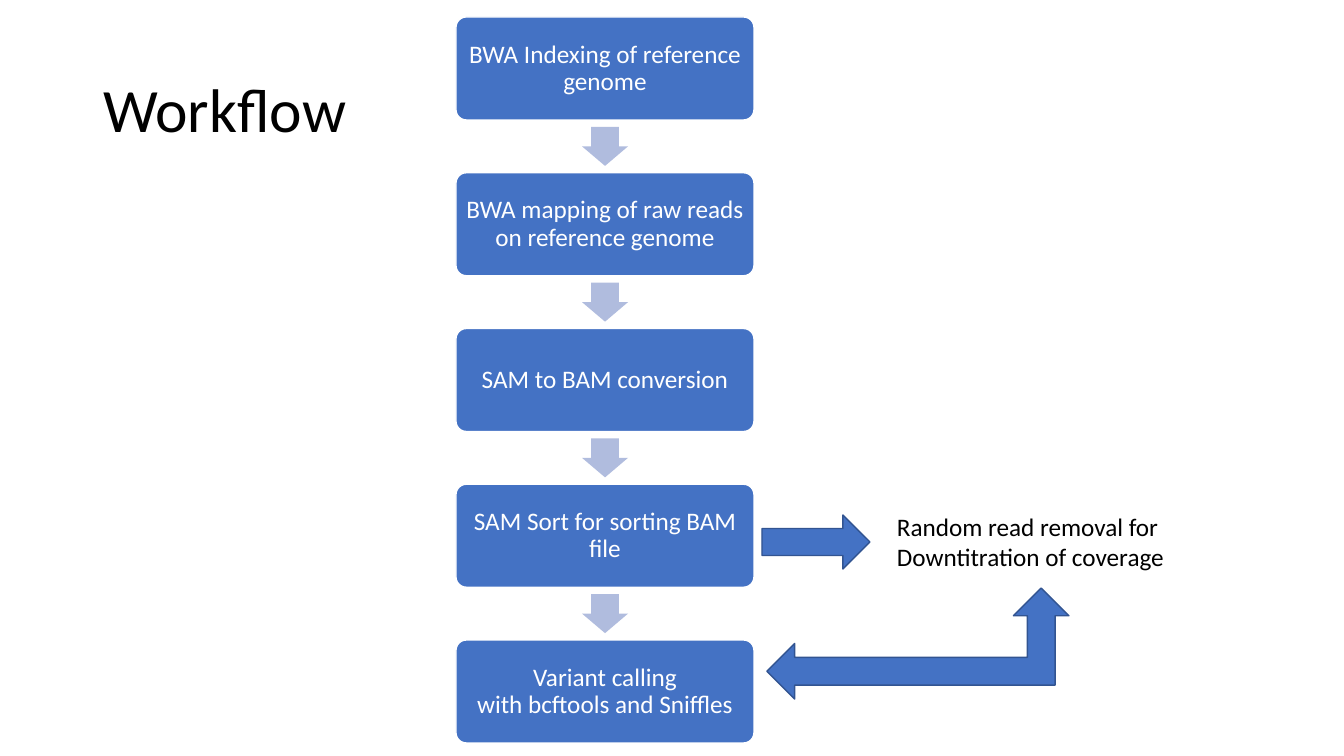
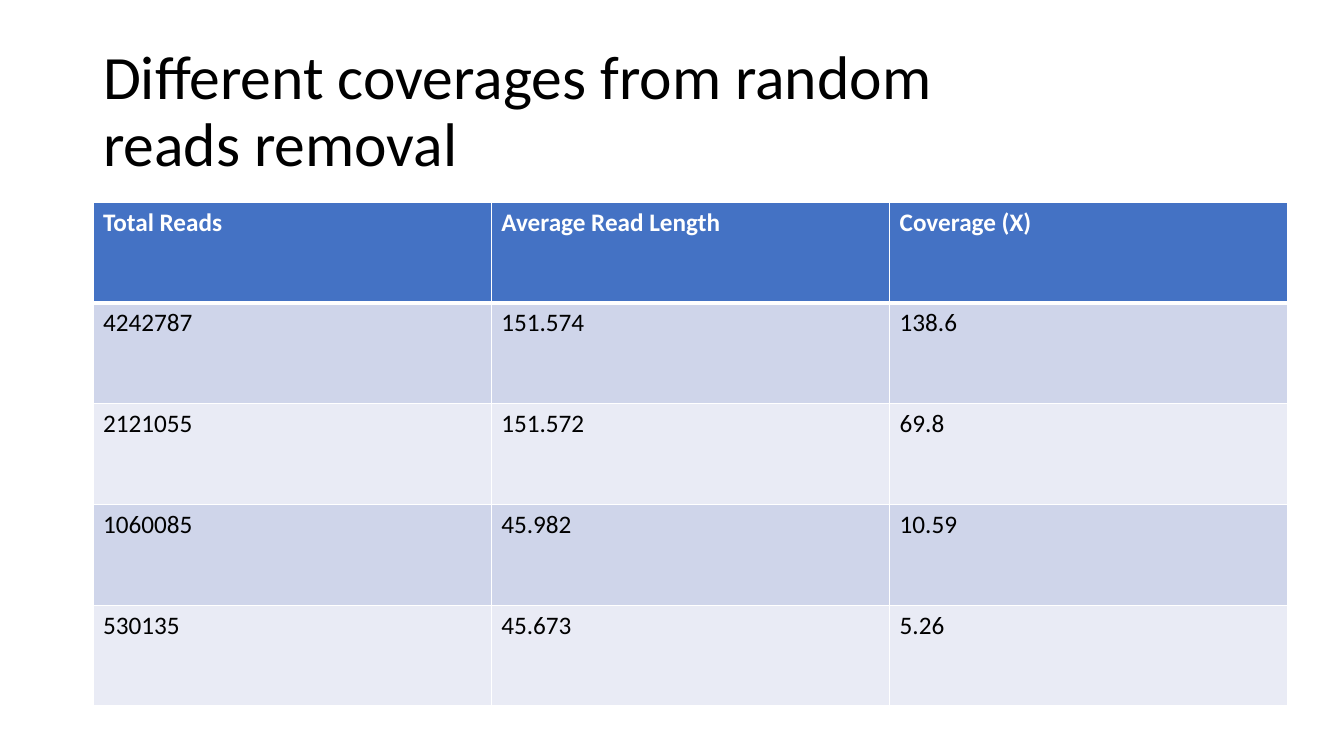
"""Build two slides: a read-mapping workflow and a table of coverages."""
from pptx import Presentation
from pptx.dml.color import RGBColor
from pptx.enum.shapes import MSO_SHAPE
from pptx.enum.text import MSO_ANCHOR, PP_ALIGN
from pptx.oxml import parse_xml
from pptx.oxml.ns import nsdecls
from pptx.util import Pt

LEFT, CENTER = PP_ALIGN.LEFT, PP_ALIGN.CENTER
TOP, MIDDLE = MSO_ANCHOR.TOP, MSO_ANCHOR.MIDDLE
ROUNDED, RIGHT_ARROW = MSO_SHAPE.ROUNDED_RECTANGLE, MSO_SHAPE.RIGHT_ARROW
LEFT_UP_ARROW = MSO_SHAPE.LEFT_UP_ARROW

WORKFLOW_TITLE = "Workflow"
STEPS = [
    "BWA Indexing of reference genome",
    "BWA mapping of raw reads on reference genome",
    "SAM to BAM conversion",
    "SAM Sort for sorting BAM file",
    "Variant calling with\u00a0bcftools and Sniffles",
]
REMOVAL_NOTE = ["Random read removal for", "Downtitration of coverage"]
COVERAGE_TITLE = "Different coverages from random reads\u00a0removal"
COVERAGE_ROWS = [
    ("Total Reads", "Average Read Length", "Coverage (X)"),
    ("4242787", "151.574", "138.6"),
    ("2121055", "151.572", "69.8"),
    ("1060085", "45.982", "10.59"),
    ("530135", "45.673", "5.26"),
]

FONT = "Calibri"
BLACK, WHITE, BLUE, EDGE, PALE = "000000", "FFFFFF", "4472C4", "325491", "B0BCDE"
BANDS = ["E9EBF5", "CFD5EA"]
SLIDE_SIZE = (1344, 756)
TITLE_BOX = (93, 40, 1159, 146)
STEP_LEFT, STEP_WIDTH, STEP_HEIGHT = 456, 298, 103
FIRST_TOP, LAST_TOP = 17, 640
STEP_INSET = 7
DOWN_LENGTH, DOWN_WIDTH = 39, 46
NOTE_BOX = (887, 506, 302, 72)
SIDE_ARROWS = [(LEFT_UP_ARROW, (767, 588, 302, 111)), (RIGHT_ARROW, (762, 515, 108, 54))]
TABLE_BOX = (93, 202, 1195, 504)


def px(length):
    return round(length * 914400 / 100.8)


def color(hex_code):
    return RGBColor.from_string(hex_code)


def apply(target, values):
    for name, value in values.items():
        setattr(target, name, value)


def write(frame, lines, ink, size=18, bold=False, align=LEFT, spacing=1.0, **frame_format):
    apply(frame, {"word_wrap": True, **frame_format})
    frame.text = "\n".join(lines)
    for paragraph in frame.paragraphs:
        apply(paragraph, {"alignment": align, "line_spacing": spacing})
        apply(paragraph.font, {"name": FONT, "size": Pt(size), "bold": bold})
        paragraph.font.color.rgb = color(ink)


def add_block(slide, kind, box, fill, edge=None, adjustments=()):
    block = slide.shapes.add_shape(kind, *map(px, box))
    block.shadow.inherit = False
    block.fill.solid()
    block.fill.fore_color.rgb = color(fill)
    if edge:
        block.line.color.rgb = color(edge)
        block.line.width = Pt(1)
    else:
        block.line.fill.background()
    for index, value in enumerate(adjustments):
        block.adjustments[index] = value
    return block


def add_titled_slide(deck, heading):
    slide = deck.slides.add_slide(deck.slide_layouts[5])
    title = slide.shapes.title
    apply(title, dict(zip(("left", "top", "width", "height"), map(px, TITLE_BOX))))
    write(title.text_frame, [heading], BLACK, 44, spacing=0.9, vertical_anchor=MIDDLE)
    return slide


def add_cell_borders(cell, bottom_width):
    for side, width in (("L", 1), ("R", 1), ("T", 1), ("B", bottom_width)):
        cell._tc.get_or_add_tcPr().append(parse_xml(
            f'<a:ln{side} {nsdecls("a")} w="{Pt(width)}"><a:solidFill>'
            f'<a:srgbClr val="{WHITE}"/></a:solidFill></a:ln{side}>'))


def build_workflow(deck):
    slide = add_titled_slide(deck, WORKFLOW_TITLE)
    pitch = (LAST_TOP - FIRST_TOP) / (len(STEPS) - 1)
    insets = {f"margin_{side}": px(STEP_INSET) for side in ("left", "right", "top", "bottom")}
    arrow_left = STEP_LEFT + (STEP_WIDTH - DOWN_LENGTH) / 2
    for index, step in enumerate(STEPS):
        top = FIRST_TOP + index * pitch
        box = (STEP_LEFT, top, STEP_WIDTH, STEP_HEIGHT)
        block = add_block(slide, ROUNDED, box, BLUE, WHITE, [0.1])
        write(block.text_frame, [step], WHITE, align=CENTER, spacing=0.9,
              vertical_anchor=MIDDLE, **insets)
        if index < len(STEPS) - 1:
            arrow_top = top + (STEP_HEIGHT + pitch - DOWN_WIDTH) / 2
            arrow_box = (arrow_left, arrow_top, DOWN_LENGTH, DOWN_WIDTH)
            add_block(slide, RIGHT_ARROW, arrow_box, PALE, adjustments=[0.6, 0.5]).rotation = 90
    note = slide.shapes.add_textbox(*map(px, NOTE_BOX))
    write(note.text_frame, REMOVAL_NOTE, BLACK, vertical_anchor=TOP)
    for kind, box in SIDE_ARROWS:
        add_block(slide, kind, box, BLUE, EDGE)


def build_coverage(deck):
    slide = add_titled_slide(deck, COVERAGE_TITLE)
    size = len(COVERAGE_ROWS), len(COVERAGE_ROWS[0])
    table = slide.shapes.add_table(*size, *map(px, TABLE_BOX)).table
    for row, values in enumerate(COVERAGE_ROWS):
        header = row == 0
        for column, value in enumerate(values):
            cell = table.cell(row, column)
            write(cell.text_frame, [value], WHITE if header else BLACK, bold=header)
            add_cell_borders(cell, 3 if header else 1)
            cell.fill.solid()
            cell.fill.fore_color.rgb = color(BLUE if header else BANDS[row % 2])


deck = Presentation()
apply(deck, dict(zip(("slide_width", "slide_height"), map(px, SLIDE_SIZE))))
build_workflow(deck)
build_coverage(deck)
deck.save("out.pptx")
